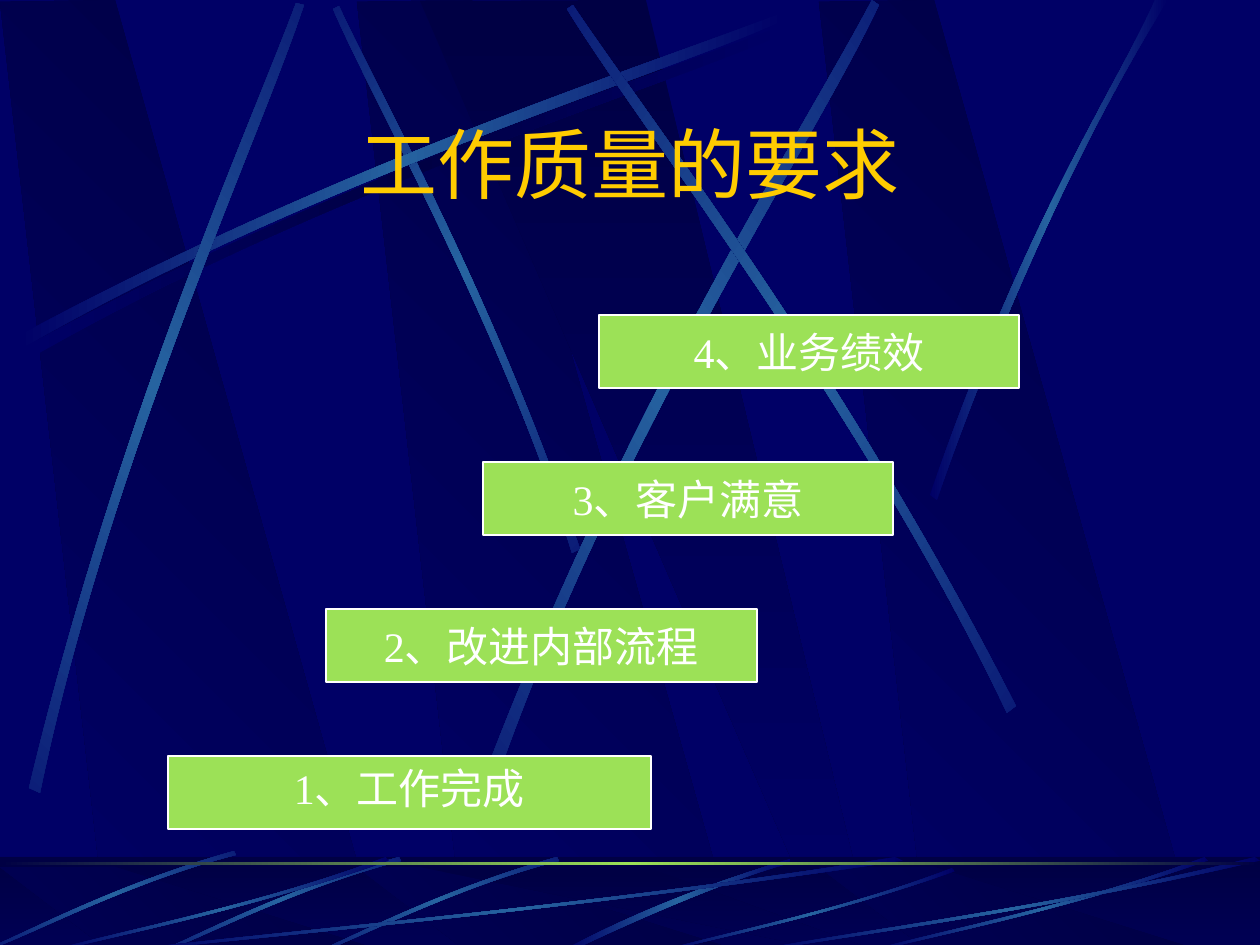
"""Build a slide of four rising steps of work quality over crossing light beams."""
import math

import lxml.etree
import pptx
import pptx.dml.color
import pptx.enum.shapes
import pptx.enum.text
import pptx.oxml.ns
import pptx.util

PX = 914400 // 126
WIDTH, HEIGHT = 1260, 945
NAVY, DARK, BLUE, GREEN = "000066", "000044", "2663A0", "9CE157"
WHITE, GOLD = "FFFFFF", "FFCC00"
SHADE = (DARK, NAVY)
GLOW = (NAVY, BLUE, NAVY)

TITLE = "工作质量的要求"
STEPS = [
    ("1、工作完成", 168, 483),
    ("2、改进内部流程", 326, 431),
    ("3、客户满意", 483, 410),
    ("4、业务绩效", 599, 420),
]
STEP_BOTTOM, STEP_RISE, STEP_HEIGHT = 756, 147, 73

BAND = [(108, 945), (381, 947), (115, 0), (0, 2)]
BAND_LEFTS = [357, 0, 819]
WEDGE = [(420, 1), (829, 946), (874, 946), (646, 0)]
FLOOR_TOP, FLOOR_BANDS_TOP, FLOOR_BANDS_HEIGHT = 857, 867, 83

SWEEP = [(18, 336), (350, 158), (653, 64), (781, 13),
         (785, 20), (658, 77), (312, 180), (21, 349)]
BEAMS = [
    (45, [(580, 549), (493, 295), (381, 97), (339, 6),
          (333, 9), (372, 100), (501, 325), (572, 553)]),
    (0, SWEEP),
    (312, [(29, 788), (117, 421), (248, 132), (296, 3),
           (304, 5), (261, 136), (108, 464), (40, 793)]),
    (322, [(485, 774), (627, 403), (804, 129), (872, 0),
           (879, 5), (818, 136), (612, 447), (496, 782)]),
    (35, [(1016, 706), (844, 369), (650, 120), (573, 5),
          (567, 9), (639, 127), (863, 410), (1007, 713)]),
    (0, [(930, 495), (1026, 218), (1119, 83), (1155, 0),
         (1168, 0), (1053, 183), (969, 406), (937, 500)]),
]
FLOOR_BEAM = [(790, 859), (677, 893), (601, 930), (564, 950),
              (571, 951), (617, 929), (719, 882), (791, 863)]
SHORT_RAY = [(557, 857), (447, 888), (362, 932), (323, 949),
             (324, 951), (363, 936), (460, 886), (559, 861)]
SHORT_RAY_SHIFTS = [(0, 0), (-158, 0), (-323, -6)]
LONG_RAY = [(1, 0.04), (0.57, 0.57), (0.17, 0.85), (0.01, 1),
            (0, 0.99), (0.17, 0.81), (0.62, 0.51), (0.99, 0)]
LONG_RAYS = [(126, 857, 777, 94), (53, 857, 336, 94), (664, 868, 291, 83),
             (872, 857, 336, 94), (756, 857, 504, 94)]


def color(value):
    return pptx.dml.color.RGBColor.from_string(value)


def add_child(parent, tag, **attributes):
    return lxml.etree.SubElement(parent, pptx.oxml.ns.qn(tag), attributes)


def paint(shape, colors, angle):
    """Fill with evenly spaced gradient stops at a clockwise angle, without outline."""
    shape.shadow.inherit = False
    shape.line.fill.background()
    shape.fill.gradient()
    gradient = shape._element.spPr.find(pptx.oxml.ns.qn("a:gradFill"))
    gradient.set("rotWithShape", "1")
    for child in list(gradient):
        gradient.remove(child)
    stops = add_child(gradient, "a:gsLst")
    for index, value in enumerate(colors):
        position = index * 100000 // (len(colors) - 1)
        stop = add_child(stops, "a:gs", pos=str(position))
        add_child(stop, "a:srgbClr", val=value)
    add_child(gradient, "a:lin", ang=str(angle * 60000), scaled="0")


def shift(points, dx, dy):
    return [(x + dx, y + dy) for x, y in points]


def rotate(points, degrees):
    cos, sin = math.cos(math.radians(degrees)), math.sin(math.radians(degrees))
    return [(x * cos - y * sin, x * sin + y * cos) for x, y in points]


def level_out(points, turn):
    """Return the outline that gives these points once turned about its own centre."""
    flat = rotate(points, -turn)
    centre = [(min(axis) + max(axis)) / 2 for axis in zip(*flat)]
    (x, y), = rotate([centre], turn)
    return shift(flat, x - centre[0], y - centre[1])


def add_polygon(shapes, points, colors, angle):
    builder = shapes.build_freeform(round(points[0][0] * PX), round(points[0][1] * PX))
    builder.add_line_segments([(round(x * PX), round(y * PX)) for x, y in points[1:]])
    polygon = builder.convert_to_shape()
    paint(polygon, colors, angle)
    return polygon


def add_beam(shapes, points, colors=GLOW, turn=0):
    """Add a ribbon whose two long sides are cubic curves."""
    beam = add_polygon(shapes, level_out(points, turn), colors, 180)
    lines = list(beam._element.iter(pptx.oxml.ns.qn("a:lnTo")))
    for side in (lines[:3], lines[4:7]):
        curve = lxml.etree.Element(pptx.oxml.ns.qn("a:cubicBezTo"))
        side[0].addprevious(curve)
        for line in side:
            curve.append(line[0])
            line.getparent().remove(line)
    beam.rotation = turn


def add_box(shapes, left, top, width, height):
    box = shapes.add_shape(pptx.enum.shapes.MSO_SHAPE.RECTANGLE,
                           left * PX, top * PX, width * PX, height * PX)
    box.shadow.inherit = False
    return box


def add_bands(shapes, place):
    for left in BAND_LEFTS:
        add_polygon(shapes, place(shift(BAND, left, 0)), SHADE, 135)
    add_polygon(shapes, place(WEDGE), SHADE, 90)


def flatten(points):
    return [(x, FLOOR_BANDS_TOP + y * FLOOR_BANDS_HEIGHT / HEIGHT) for x, y in points]


def add_backdrop(shapes):
    add_bands(shapes, list)
    add_beam(shapes, shift(SWEEP, 8, 10), (NAVY, DARK, NAVY))
    for turn, points in BEAMS:
        add_beam(shapes, points, turn=turn)


def add_floor(shapes):
    area = (0, FLOOR_TOP, WIDTH, HEIGHT - FLOOR_TOP)
    paint(add_box(shapes, *area), SHADE, 90)
    add_bands(shapes, flatten)
    veil = add_box(shapes, *area)
    veil.line.fill.background()
    veil.fill.solid()
    veil.fill.fore_color.rgb = color(DARK)
    tint = veil._element.spPr.find(".//" + pptx.oxml.ns.qn("a:srgbClr"))
    add_child(tint, "a:alpha", val="50000")
    add_beam(shapes, FLOOR_BEAM)
    for dx, dy in SHORT_RAY_SHIFTS:
        add_beam(shapes, shift(SHORT_RAY, dx, dy), turn=315)
    for left, top, width, height in LONG_RAYS:
        add_beam(shapes, [(left + x * width, top + y * height) for x, y in LONG_RAY])
    paint(add_box(shapes, 0, 862, WIDTH, 3), (DARK, GREEN, DARK), 180)


def move_to_master(scenery, master):
    for number, label in enumerate(scenery._element.iter(pptx.oxml.ns.qn("p:cNvPr")), 100):
        label.set("id", str(number))
    master.shapes._spTree.insert(2, scenery._element)


def write(shape, text, size, font, ink):
    frame = shape.text_frame
    frame.text = text
    frame.vertical_anchor = pptx.enum.text.MSO_ANCHOR.MIDDLE
    paragraph = frame.paragraphs[0]
    paragraph.alignment = pptx.enum.text.PP_ALIGN.CENTER
    run = paragraph.runs[0]
    run.font.size = pptx.util.Pt(size)
    run.font.name = font
    run.font.color.rgb = color(ink)


def add_steps(shapes):
    for level, (text, left, width) in enumerate(STEPS):
        step = add_box(shapes, left, STEP_BOTTOM - level * STEP_RISE, width, STEP_HEIGHT)
        step.fill.solid()
        step.fill.fore_color.rgb = color(GREEN)
        step.line.color.rgb = color(WHITE)
        step.line.width = pptx.util.Pt(0.75)
        write(step, text, 24, "Times New Roman", WHITE)
        step.text_frame.word_wrap = False
        if level == 0:
            step.text_frame.vertical_anchor = pptx.enum.text.MSO_ANCHOR.TOP


def main():
    deck = pptx.Presentation()
    deck.slide_width, deck.slide_height = WIDTH * PX, HEIGHT * PX
    slide = deck.slides.add_slide(deck.slide_layouts[5])
    deck.slide_master.background.fill.solid()
    deck.slide_master.background.fill.fore_color.rgb = color(NAVY)
    scenery = slide.shapes.add_group_shape()
    add_backdrop(scenery.shapes)
    add_floor(scenery.shapes)
    move_to_master(scenery, deck.slide_master)
    title = slide.shapes.title
    title.left, title.top, title.width, title.height = (
        side * PX for side in (95, 110, 1070, 106))
    write(title, TITLE, 44, "Montserrat", GOLD)
    add_steps(slide.shapes)
    deck.save("out.pptx")


if __name__ == "__main__":
    main()
